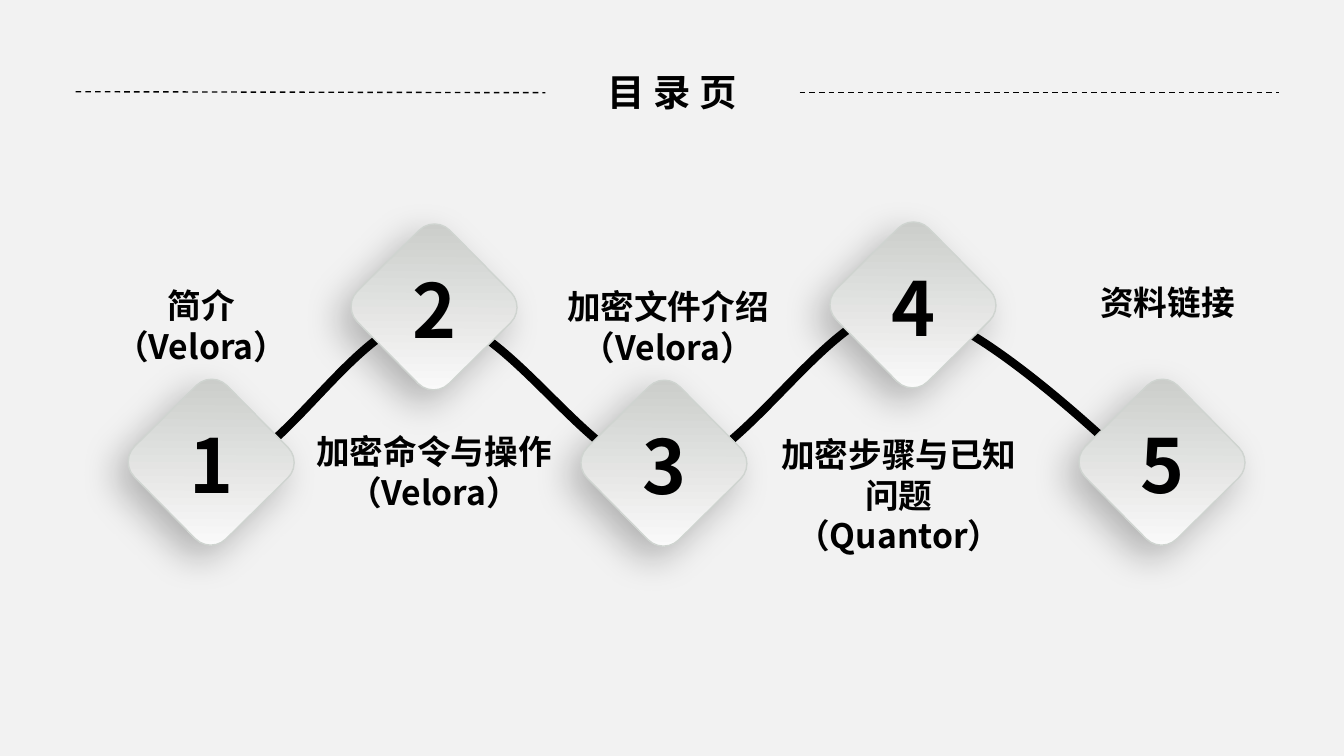
from lxml.etree import SubElement
from pptx import Presentation
from pptx.dml.color import RGBColor
from pptx.enum.dml import MSO_LINE
from pptx.enum.shapes import MSO_CONNECTOR, MSO_SHAPE
from pptx.enum.text import MSO_ANCHOR, PP_ALIGN
from pptx.oxml.ns import qn
from pptx.util import Inches, Pt

FONT = "Noto Sans CJK SC"
COLORS = {"ink": "000000", "paper": "F2F2F2", "edge": "CFD4D0",
          "dark": "C9CBC8", "light": "FCFCFC"}
BADGE = 1.29
BADGES = [(1.45, 3.94), (3.66, 2.4), (5.94, 3.95), (8.41, 2.38), (10.88, 3.94)]
LABELS = [
    (0.69, 2.78, 2.61, ["简介", "（Velora）"]),
    (3, 4.23, 2.61, ["加密命令与操作", "（Velora）"]),
    (5.18, 2.79, 2.89, ["加密文件介绍", "（Velora）"]),
    (7.61, 4.26, 2.61, ["加密步骤与已知问题（Quantor）"]),
    (10.73, 2.75, 1.7, ["资料链接"]),
]
WAVE = [(2.09, 4.69), (2.77, 4.7), (3.53, 3.14), (4.28, 3.14),
        (5.03, 3.14), (5.86, 4.69), (6.59, 4.7),
        (7.34, 4.68), (8.19, 3.06), (8.93, 3.05),
        (9.65, 3.05), (11.21, 4.61), (11.21, 4.59)]


def rgb(name):
    """Return the named colour."""
    return RGBColor.from_string(COLORS[name])


def add_text(shapes, left, top, width, height, lines, size, inset=None, wrap=True):
    """Add centred bold text, one paragraph per line."""
    box = shapes.add_textbox(Inches(left), Inches(top), Inches(width), Inches(height))
    frame = box.text_frame
    frame.word_wrap = wrap
    frame.vertical_anchor = MSO_ANCHOR.TOP
    if inset is not None:
        frame.margin_left = frame.margin_right = Inches(inset)
        frame.margin_top = frame.margin_bottom = Inches(inset)
    for index, line in enumerate(lines):
        paragraph = frame.paragraphs[0] if index == 0 else frame.add_paragraph()
        paragraph.alignment = PP_ALIGN.CENTER
        run = paragraph.add_run()
        run.text = line
        run.font.size = Pt(size)
        run.font.bold = True
        run.font.name = FONT
        run.font.color.rgb = rgb("ink")
        SubElement(run.font._element, qn("a:ea"), typeface=FONT)


def add_wave(shapes):
    """Draw the curve that runs behind the badges."""
    points = [(Inches(x), Inches(y)) for x, y in WAVE]
    builder = shapes.build_freeform(*points[0])
    builder.add_line_segments(points[1:], close=False)
    wave = builder.convert_to_shape()
    wave.shadow.inherit = False
    wave.fill.background()
    wave.line.color.rgb = rgb("ink")
    wave.line.width = Pt(6)
    outline = next(wave._element.iter(qn("a:path")))
    segments = outline.findall(qn("a:lnTo"))
    for start in range(0, len(segments), 3):
        curve = SubElement(outline, qn("a:cubicBezTo"))
        for segment in segments[start:start + 3]:
            curve.append(segment[0])
            outline.remove(segment)


def add_soft_shadow(shape):
    """Cast a blurred shadow to the lower left."""
    shape.shadow.inherit = False
    effects = shape._element.spPr.find(qn("a:effectLst"))
    shadow = SubElement(effects, qn("a:outerShdw"), blurRad=str(Pt(27)),
                        dist=str(Pt(12)), dir="8100000", rotWithShape="0")
    color = SubElement(shadow, qn("a:srgbClr"), val=COLORS["ink"])
    SubElement(color, qn("a:alpha"), val="26000")


def add_badge(shapes, left, top, number):
    """Add a numbered diamond with rounded corners."""
    badge = shapes.add_group_shape().shapes
    diamond = badge.add_shape(MSO_SHAPE.ROUNDED_RECTANGLE, Inches(left), Inches(top),
                              Inches(BADGE), Inches(BADGE))
    diamond.rotation = 315.4
    diamond.fill.gradient()
    diamond.fill.gradient_angle = 225
    for stop, name in zip(diamond.fill.gradient_stops, ("dark", "light")):
        stop.color.rgb = rgb(name)
    diamond.line.color.rgb = rgb("edge")
    diamond.line.width = Pt(1)
    add_soft_shadow(diamond)
    add_text(badge, left + 0.32, top + 0.17, 0.66, 1, [str(number)], 53.3, wrap=False)


def add_rule(shapes, start, end):
    """Add a dashed rule beside the title."""
    rule = shapes.add_connector(MSO_CONNECTOR.STRAIGHT, *map(Inches, start + end))
    rule.line.color.rgb = rgb("ink")
    rule.line.width = Pt(1)
    rule.line.dash_style = MSO_LINE.DASH
    SubElement(rule._element.spPr, qn("a:effectLst"))


def main():
    """Build the contents slide."""
    deck = Presentation()
    deck.slide_width, deck.slide_height = Inches(13.33), Inches(7.5)
    slide = deck.slides.add_slide(deck.slide_layouts[6])
    slide.background.fill.solid()
    slide.background.fill.fore_color.rgb = rgb("paper")
    shapes = slide.shapes
    add_wave(shapes)
    for left, top, width, lines in LABELS:
        height = 0.5 if lines == ["资料链接"] else 0.91
        add_text(shapes, left, top, width, height, lines, 24)
    for number, (left, top) in enumerate(BADGES, 1):
        add_badge(shapes, left, top, number)
    add_text(shapes, 5.2, 0.69, 2.94, 0.45, ["目 录 页"], 26.7, inset=0)
    add_rule(shapes, (0.75, 0.91), (5.41, 0.92))
    add_rule(shapes, (7.93, 0.92), (12.69, 0.92))
    deck.save("out.pptx")


if __name__ == "__main__":
    main()
